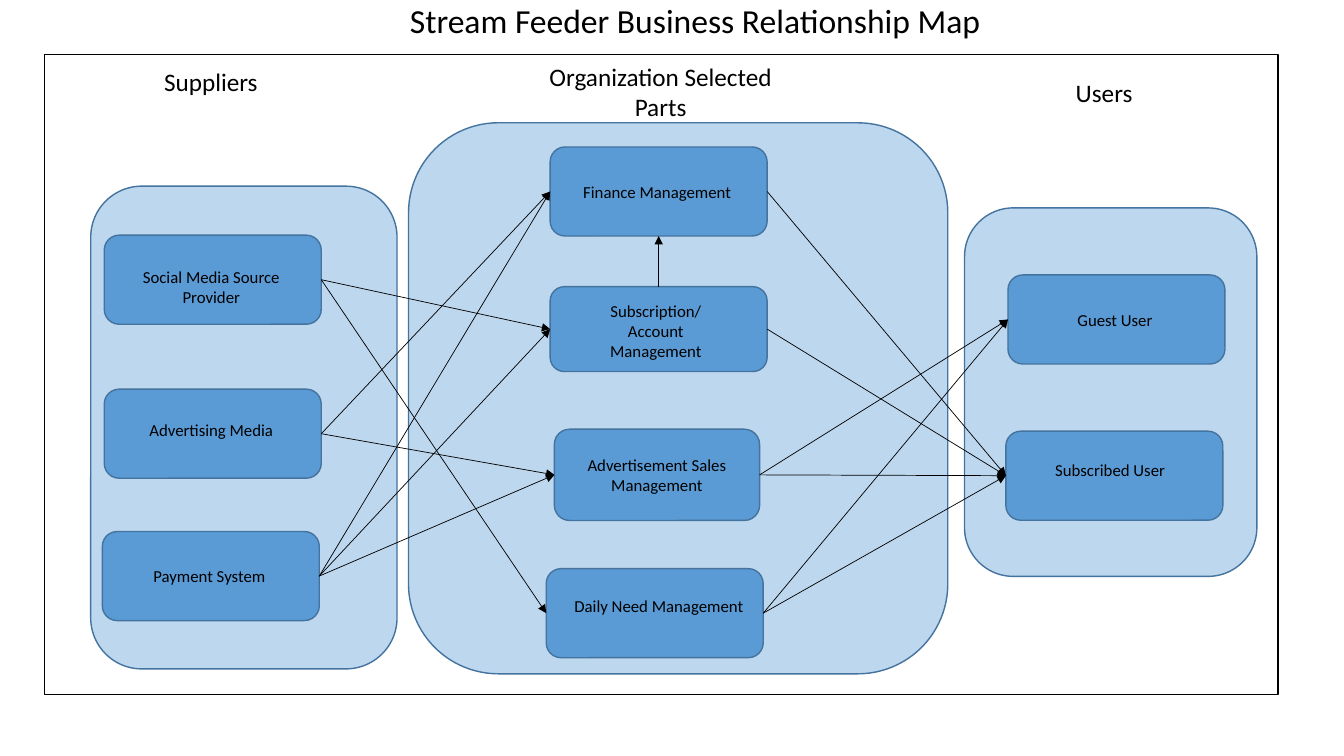
"""Build the Stream Feeder business relationship map slide."""
from dataclasses import dataclass

from lxml.etree import SubElement
from pptx import Presentation
from pptx.dml.color import RGBColor
from pptx.enum.shapes import MSO_CONNECTOR, MSO_SHAPE
from pptx.enum.text import MSO_ANCHOR, MSO_AUTO_SIZE, PP_ALIGN
from pptx.oxml.ns import qn
from pptx.shapes.autoshape import Shape
from pptx.shapes.shapetree import SlideShapes
from pptx.text.text import TextFrame
from pptx.util import Pt


@dataclass(frozen=True)
class Theme:
    """Colours, type sizes and line widths of the map."""
    font: str = "Calibri"
    ink: RGBColor = RGBColor(0, 0, 0)
    paper: RGBColor = RGBColor(255, 255, 255)
    panel: RGBColor = RGBColor(0xBD, 0xD7, 0xEE)
    node: RGBColor = RGBColor(0x5B, 0x9B, 0xD5)
    border: RGBColor = RGBColor(0x43, 0x73, 0x9E)
    title_size: float = 24
    heading_size: float = 18
    label_size: float = 12
    outline: float = 1
    arrow: float = 0.5


@dataclass(frozen=True)
class Box:
    """A rectangle in points."""
    left: float
    top: float
    width: float = 155
    height: float = 63.6


@dataclass(frozen=True)
class Group:
    """A panel of parties with its heading."""
    heading: str
    heading_box: Box
    panel: Box


@dataclass(frozen=True)
class Party:
    """A labelled box whose text is shifted from its centre."""
    label: str
    box: Box
    shift_x: float = -1
    shift_y: float = 0
    inset: float = 13


@dataclass(frozen=True)
class Relation:
    """An arrow between two parties, by connection site."""
    source: str
    target: str
    exit: int = 3
    entry: int = 1


THEME = Theme()
TITLE_BOX = Box(121, -3.6, 751, 36)
FRAME = Box(31.7, 38.9, 881.3, 457.4)
GROUPS = [
    Group("Users", Box(689, 51.8, 199.4, 29), Box(689, 148.5, 208.8, 263.2)),
    Group("Suppliers", Box(51, 43.5, 199.4, 29), Box(64.8, 133, 218.8, 344.8)),
    Group("Organization Selected Parts", Box(372.2, 40, 199.4, 51),
          Box(291.8, 87.7, 385.2, 393.6)),
]
SOCIAL, ADVERTISING, PAYMENT = "Social Media Source Provider", "Advertising Media", "Payment System"
FINANCE, ACCOUNT = "Finance Management", "Subscription/ Account Management"
SALES, DAILY = "Advertisement Sales Management", "Daily Need Management"
GUEST, SUBSCRIBED = "Guest User", "Subscribed User"
PARTIES = [
    Party(SOCIAL, Box(74.5, 168), shift_y=5),
    Party(ADVERTISING, Box(74.5, 278), shift_y=-3),
    Party(PAYMENT, Box(73.1, 379.7)),
    Party(FINANCE, Box(393, 105)),
    Party(ACCOUNT, Box(393, 204.8, height=60.6), -2, 1, 25),
    Party(SALES, Box(396, 306.6, 146.6, 65.2), 0),
    Party(DAILY, Box(390.2, 406.2), 3, -5),
    Party(GUEST, Box(720, 196.4)),
    Party(SUBSCRIBED, Box(718.5, 308), -3, -4.5),
]
RELATIONS = [
    Relation(SOCIAL, ACCOUNT), Relation(SOCIAL, DAILY),
    Relation(ADVERTISING, FINANCE), Relation(ADVERTISING, SALES),
    Relation(PAYMENT, FINANCE), Relation(PAYMENT, ACCOUNT), Relation(PAYMENT, SALES),
    Relation(ACCOUNT, FINANCE, exit=0, entry=2),
    Relation(FINANCE, SUBSCRIBED), Relation(ACCOUNT, SUBSCRIBED),
    Relation(SALES, GUEST), Relation(SALES, SUBSCRIBED),
    Relation(DAILY, GUEST), Relation(DAILY, SUBSCRIBED),
]


def bounds(box: Box) -> tuple[Pt, Pt, Pt, Pt]:
    """Return a box as slide lengths."""
    return Pt(box.left), Pt(box.top), Pt(box.width), Pt(box.height)


def write(frame: TextFrame, text: str, size: float, anchor: MSO_ANCHOR) -> None:
    """Fill a text frame with one centred paragraph."""
    frame.text = text
    frame.word_wrap = True
    frame.auto_size = MSO_AUTO_SIZE.NONE
    frame.vertical_anchor = anchor
    paragraph = frame.paragraphs[0]
    paragraph.alignment = PP_ALIGN.CENTER
    paragraph.font.name = THEME.font
    paragraph.font.size = Pt(size)
    paragraph.font.color.rgb = THEME.ink


def draw_box(shapes: SlideShapes, box: Box, fill: RGBColor, border: RGBColor,
             outline: MSO_SHAPE = MSO_SHAPE.ROUNDED_RECTANGLE) -> Shape:
    """Draw a filled, outlined shape."""
    shape = shapes.add_shape(outline, *bounds(box))
    shape.shadow.inherit = False
    shape.fill.solid()
    shape.fill.fore_color.rgb = fill
    shape.line.color.rgb = border
    shape.line.width = Pt(THEME.outline)
    return shape


def draw_group(shapes: SlideShapes, group: Group) -> None:
    """Draw a panel and its heading."""
    draw_box(shapes, group.panel, THEME.panel, THEME.border)
    heading = shapes.add_textbox(*bounds(group.heading_box))
    write(heading.text_frame, group.heading, THEME.heading_size, MSO_ANCHOR.TOP)


def draw_party(shapes: SlideShapes, party: Party) -> Shape:
    """Draw a party with its label."""
    shape = draw_box(shapes, party.box, THEME.node, THEME.border)
    frame = shape.text_frame
    write(frame, party.label, THEME.label_size, MSO_ANCHOR.MIDDLE)
    frame.margin_left = Pt(party.inset + party.shift_x)
    frame.margin_right = Pt(party.inset - party.shift_x)
    frame.margin_top = Pt(max(0, 2 * party.shift_y))
    frame.margin_bottom = Pt(max(0, -2 * party.shift_y))
    return shape


def draw_relation(shapes: SlideShapes, relation: Relation, parties: dict[str, Shape]) -> None:
    """Draw an arrow attached to both parties."""
    arrow = shapes.add_connector(MSO_CONNECTOR.STRAIGHT, Pt(0), Pt(0), Pt(0), Pt(0))
    arrow.begin_connect(parties[relation.source], relation.exit)
    arrow.end_connect(parties[relation.target], relation.entry)
    arrow.line.color.rgb = THEME.ink
    arrow.line.width = Pt(THEME.arrow)
    SubElement(arrow.line._get_or_add_ln(), qn("a:tailEnd"), type="triangle")
    SubElement(arrow._element.spPr, qn("a:effectLst"))


def build() -> None:
    """Build and save the slide."""
    deck = Presentation()
    deck.slide_width, deck.slide_height = Pt(960), Pt(540)
    slide = deck.slides.add_slide(deck.slide_layouts[5])
    shapes = slide.shapes
    title = shapes.title
    title.left, title.top, title.width, title.height = bounds(TITLE_BOX)
    write(title.text_frame, "Stream Feeder Business Relationship Map",
          THEME.title_size, MSO_ANCHOR.TOP)
    draw_box(shapes, FRAME, THEME.paper, THEME.ink, MSO_SHAPE.RECTANGLE)
    for group in GROUPS:
        draw_group(shapes, group)
    parties = {party.label: draw_party(shapes, party) for party in PARTIES}
    for relation in RELATIONS:
        draw_relation(shapes, relation, parties)
    deck.save("out.pptx")


build()
